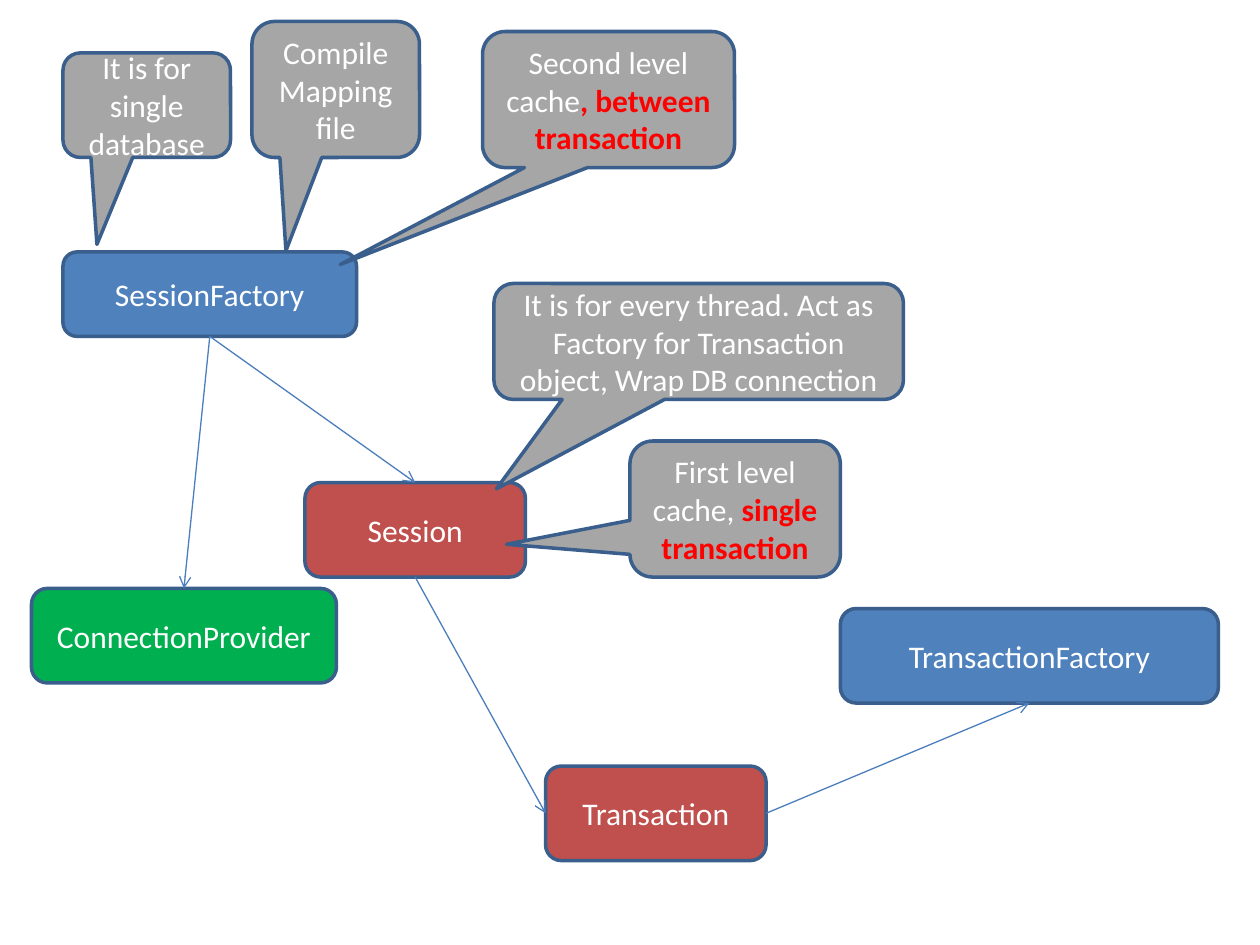
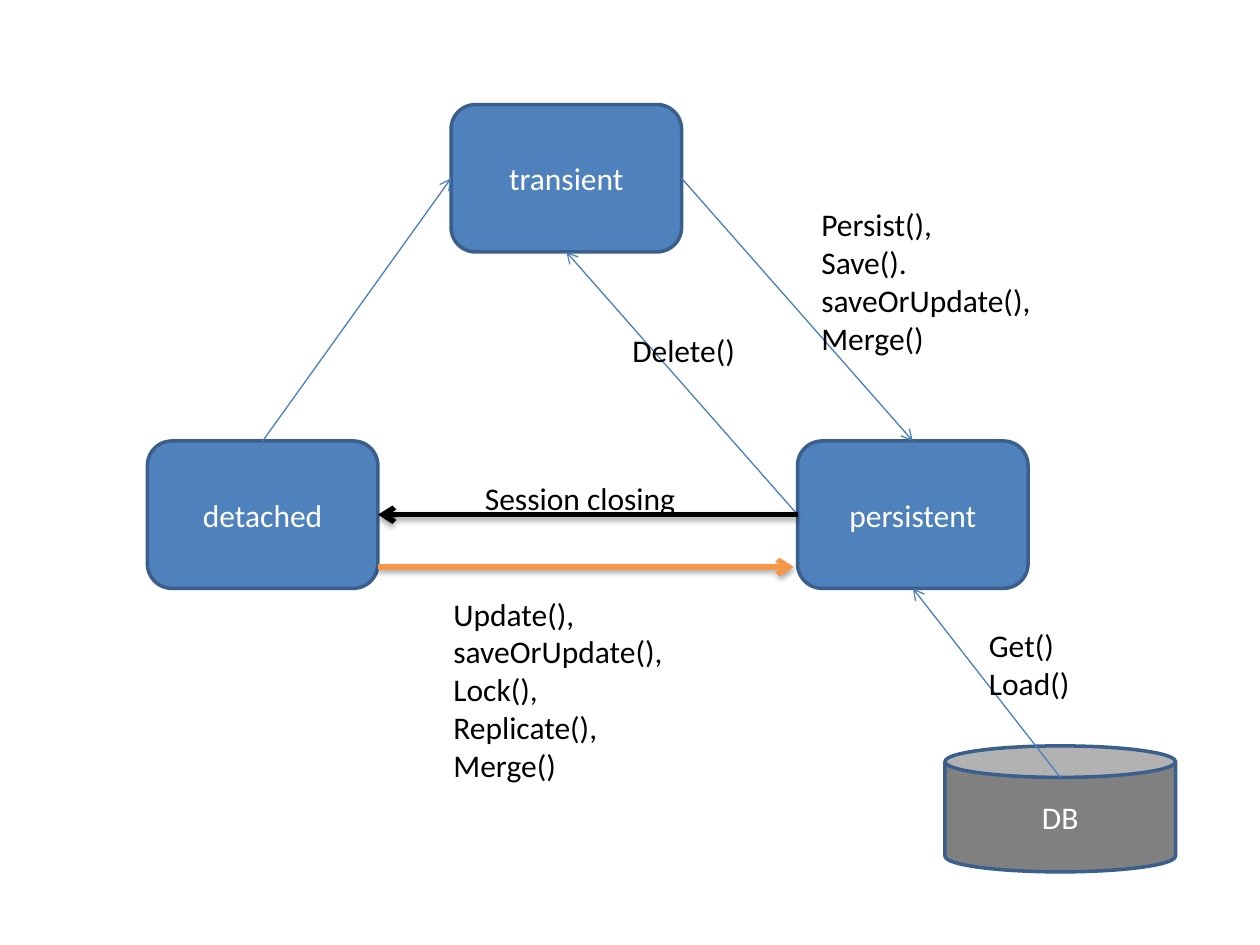
from lxml import etree
from pptx import Presentation
from pptx.dml.color import RGBColor
from pptx.enum.shapes import MSO_CONNECTOR, MSO_SHAPE
from pptx.enum.text import MSO_ANCHOR, MSO_AUTO_SIZE, PP_ALIGN
from pptx.oxml.ns import qn
from pptx.util import Inches, Pt

BLUE = RGBColor(0x4F, 0x81, 0xBD)
BRICK = RGBColor(0xC0, 0x50, 0x4D)
GREEN = RGBColor(0x00, 0xB0, 0x50)
LIGHT_GREY = RGBColor(0xA6, 0xA6, 0xA6)
GREY = RGBColor(0x80, 0x80, 0x80)
ORANGE = RGBColor(0xF7, 0x96, 0x46)
RED = RGBColor(0xFF, 0x00, 0x00)
WHITE = RGBColor(0xFF, 0xFF, 0xFF)
BLACK = RGBColor(0x00, 0x00, 0x00)
OUTLINE = RGBColor(0x3A, 0x5F, 0x8C)
ARROW_BLUE = RGBColor(0x4B, 0x7E, 0xBC)

FONT = "Calibri"
FONT_SIZE = Pt(18)
ROUNDED = MSO_SHAPE.ROUNDED_RECTANGLE
CALLOUT = MSO_SHAPE.ROUNDED_RECTANGULAR_CALLOUT
CAN = MSO_SHAPE.CAN
STRAIGHT = MSO_CONNECTOR.STRAIGHT
MIDDLE = MSO_ANCHOR.MIDDLE
CENTER = PP_ALIGN.CENTER
GROW = MSO_AUTO_SIZE.SHAPE_TO_FIT_TEXT

# Connection sites of a rectangle
TOP, LEFT, BOTTOM, RIGHT = range(4)
BLANK_LAYOUT = 6
STATE_SIZE = (1.83, 1.17)


def add_run(paragraph, text, color, bold=False):
    """Append one formatted run to a paragraph."""
    run = paragraph.add_run()
    run.text = text
    run.font.name = FONT
    run.font.size = FONT_SIZE
    run.font.color.rgb = color
    if bold:
        run.font.bold = True


def add_box(slide, kind, box, fill, text, emphasis=""):
    """Add an outlined shape with centred white text and an optional red ending."""
    shape = slide.shapes.add_shape(kind, *map(Inches, box))
    shape.shadow.inherit = False
    shape.fill.solid()
    shape.fill.fore_color.rgb = fill
    shape.line.color.rgb = OUTLINE
    shape.line.width = Pt(2)
    frame = shape.text_frame
    frame.word_wrap = True
    frame.vertical_anchor = MIDDLE
    paragraph = frame.paragraphs[0]
    paragraph.alignment = CENTER
    add_run(paragraph, text, WHITE)
    if emphasis:
        add_run(paragraph, emphasis, RED, bold=True)
    return shape


def add_callout(slide, box, tip, text, emphasis=""):
    """Add a grey callout whose tail ends at the tip point."""
    shape = add_box(slide, CALLOUT, box, LIGHT_GREY, text, emphasis)
    left, top, width, height = box
    shape.adjustments[0] = (tip[0] - left) / width - 0.5
    shape.adjustments[1] = (tip[1] - top) / height - 0.5


def add_label(slide, box, lines, wrap=True):
    """Add a black text box with one paragraph per line."""
    frame = slide.shapes.add_textbox(*map(Inches, box)).text_frame
    frame.word_wrap = wrap
    frame.auto_size = GROW
    for index, line in enumerate(lines):
        paragraph = frame.add_paragraph() if index else frame.paragraphs[0]
        add_run(paragraph, line, BLACK)


def add_arrow(slide, start=(0, 0), end=(0, 0), color=ARROW_BLUE, width=0.75, shadow=False):
    """Add a straight arrow between two points, with or without a soft shadow."""
    arrow = slide.shapes.add_connector(STRAIGHT, *map(Inches, (*start, *end)))
    arrow.line.color.rgb = color
    arrow.line.width = Pt(width)
    etree.SubElement(arrow.line._get_or_add_ln(), qn("a:tailEnd"), type="arrow")
    effects = etree.SubElement(arrow._element.spPr, qn("a:effectLst"))
    if shadow:
        outer = etree.SubElement(
            effects, qn("a:outerShdw"), blurRad=str(Pt(3.1)), dist=str(Pt(1.8)),
            dir="5400000", rotWithShape="0")
        black = etree.SubElement(outer, qn("a:srgbClr"), val=str(BLACK))
        etree.SubElement(black, qn("a:alpha"), val="35000")
    return arrow


def link(slide, source, source_site, target, target_site, **style):
    """Connect two shapes with an arrow glued to their connection sites."""
    arrow = add_arrow(slide, **style)
    arrow.begin_connect(source, source_site)
    arrow.end_connect(target, target_site)
    return arrow


def build_architecture(slide):
    """Draw the session objects, their links and the notes on them."""
    session_factory = add_box(slide, ROUNDED, (0.5, 2, 2.33, 0.67), BLUE, "SessionFactory")
    session = add_box(slide, ROUNDED, (2.42, 3.83, 1.75, 0.75), BRICK, "Session")
    transaction = add_box(slide, ROUNDED, (4.33, 6.08, 1.75, 0.75), BRICK, "Transaction")
    provider = add_box(slide, ROUNDED, (0.25, 4.67, 2.42, 0.75), GREEN, "ConnectionProvider")
    transaction_factory = add_box(
        slide, ROUNDED, (6.67, 4.83, 3, 0.75), BLUE, "TransactionFactory")

    link(slide, session_factory, BOTTOM, session, TOP)
    link(slide, session, BOTTOM, transaction, LEFT)
    link(slide, session_factory, BOTTOM, provider, TOP)
    link(slide, transaction, RIGHT, transaction_factory, BOTTOM)

    add_callout(slide, (0.5, 0.42, 1.33, 0.83), (0.77, 1.94), "It is for single database")
    add_callout(slide, (3.92, 2.25, 3.25, 0.92), (3.94, 3.88),
                "It is for every thread. Act as Factory for Transaction object, "
                "Wrap DB connection")
    add_callout(slide, (2, 0.17, 1.33, 1.08), (2.27, 1.99), "Compile Mapping file")
    add_callout(slide, (5, 3.5, 1.67, 1.08), (4.02, 4.32),
                "First level cache, ", "single transaction")
    add_callout(slide, (3.83, 0.25, 2, 1.08), (2.7, 2.1),
                "Second level cache", ", between transaction")


def build_states(slide):
    """Draw the object states and the calls that move between them."""
    transient = add_box(slide, ROUNDED, (3.58, 0.83, *STATE_SIZE), BLUE, "transient")
    persistent = add_box(slide, ROUNDED, (6.33, 3.5, *STATE_SIZE), BLUE, "persistent")
    detached = add_box(slide, ROUNDED, (1.17, 3.5, *STATE_SIZE), BLUE, "detached")
    database = add_box(slide, CAN, (7.5, 5.92, 1.83, 1), GREY, "DB")

    link(slide, transient, RIGHT, persistent, TOP)
    link(slide, persistent, LEFT, transient, BOTTOM)
    link(slide, detached, TOP, transient, LEFT)
    add_arrow(slide, (3, 4.5), (6.3, 4.5), ORANGE, 3, shadow=True)
    loading = link(slide, database, TOP, persistent, BOTTOM)
    loading.begin_y = Inches(6.17)  # the can's first site is the front of its lid
    link(slide, persistent, LEFT, detached, RIGHT, color=BLACK, width=3, shadow=True)

    add_label(slide, (6.42, 1.58, 2.08, 1.31),
              ["Persist(),", "Save().", "saveOrUpdate(),", "Merge()"])
    add_label(slide, (4.92, 2.58, 1.33, 0.4), ["Delete()"])
    add_label(slide, (3.5, 4.67, 2.92, 1.92),
              ["Update(),", "saveOrUpdate(),", "Lock(),", "Replicate(),", "Merge()"])
    add_label(slide, (7.75, 4.92, 0.85, 0.71), ["Get()", "Load()"], wrap=False)
    add_label(slide, (3.75, 3.75, 1.73, 0.4), ["Session closing"], wrap=False)


def main():
    """Build both slides and save the presentation."""
    presentation = Presentation()
    presentation.slide_width = Inches(10)
    presentation.slide_height = Inches(7.5)
    layout = presentation.slide_layouts[BLANK_LAYOUT]
    for build in (build_architecture, build_states):
        build(presentation.slides.add_slide(layout))
    presentation.save("out.pptx")


main()
